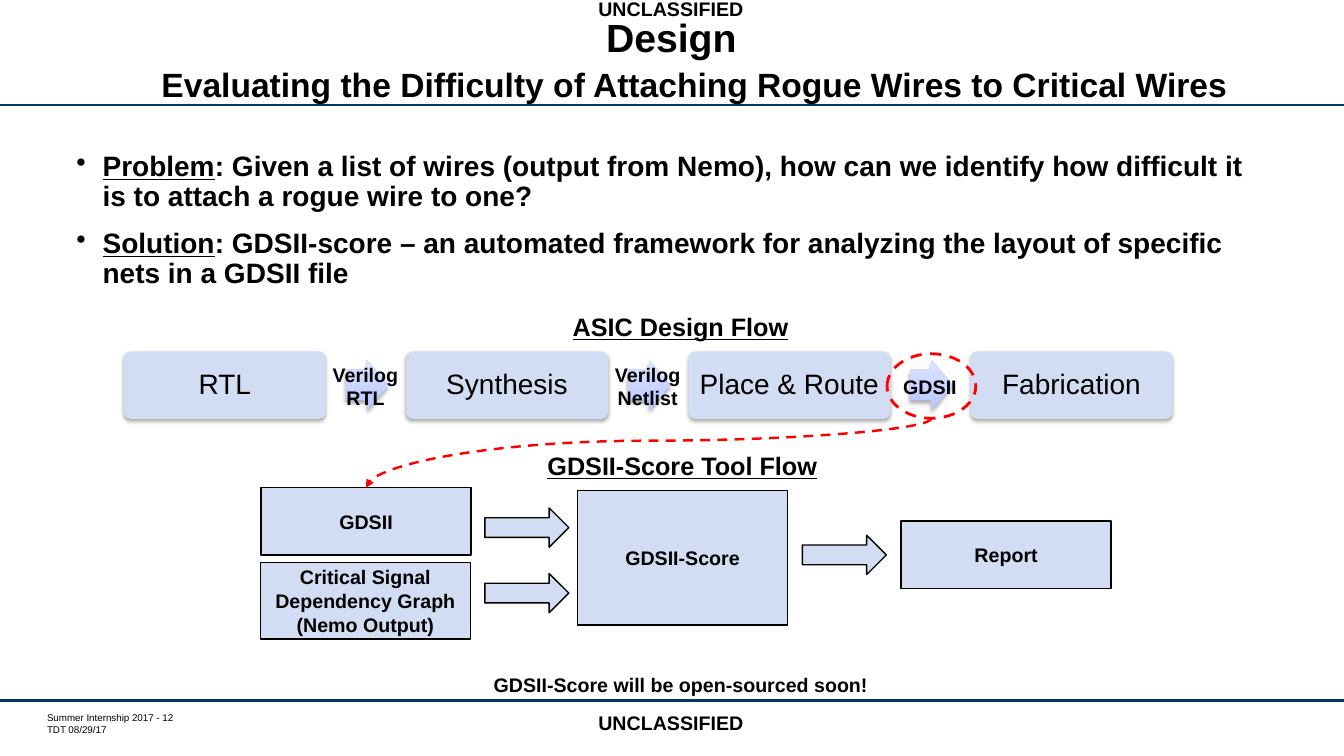
from collections import namedtuple
from dataclasses import dataclass

from lxml import etree
from pptx import Presentation, util as u
from pptx.dml.color import RGBColor
from pptx.enum import dml, shapes, text
from pptx.oxml import ns, parse_xml

Box = namedtuple("Box", "left top width height")
SHAPE = shapes.MSO_SHAPE
CENTER = text.PP_ALIGN.CENTER


@dataclass(frozen=True)
class Theme:
    font: str = "Arial"
    ink: str = "000000"
    rule: str = "003767"
    panel: str = "D2DCF2"
    arrow_dark: str = "B6C5FF"
    arrow_light: str = "DEE4FF"
    accent: str = "FF0000"
    title: int = 28
    subtitle: int = 24
    body: int = 20
    heading: int = 18
    label: int = 14
    footer: int = 7


THEME = Theme()


def rgb(value):
    return RGBColor.from_string(value)


def points(box):
    return [u.Pt(value) for value in box]


def inside(box, left, top, width, height):
    return Box(box.left + left, box.top + top, width, height)


def apply(target, values):
    for name, value in values.items():
        setattr(target, name, value)


def write(frame, lines, size, bold=True, underline=False, **paragraph):
    """Fill a frame; a line is a string or a list of (text, underline) runs."""
    for index, line in enumerate(lines):
        para = frame.paragraphs[0] if index == 0 else frame.add_paragraph()
        apply(para, paragraph)
        if index == 0:
            para.space_before = u.Pt(0)
        for words, underlined in [(line, underline)] if isinstance(line, str) else line:
            span = para.add_run()
            span.text = words
            apply(span.font, dict(name=THEME.font, size=u.Pt(size), bold=bold,
                                  underline=underlined))
            span.font.color.rgb = rgb(THEME.ink)


def add_text(page, box, lines, size, wrap=True, margin=None, **style):
    frame = page.shapes.add_textbox(*points(box)).text_frame
    frame.word_wrap = wrap
    if margin is not None:
        sides = ("left", "top", "right", "bottom")
        apply(frame, {f"margin_{side}": u.Pt(margin) for side in sides})
    write(frame, lines, size, **style)
    return frame


def add_label(page, box, lines, size=THEME.label, **style):
    add_text(page, box, lines, size, wrap=False, alignment=CENTER, **style)


def add_panel(page, kind, box, outline=None):
    panel = page.shapes.add_shape(kind, *points(box))
    panel.shadow.inherit = False
    panel.fill.solid()
    panel.fill.fore_color.rgb = rgb(THEME.panel)
    if outline:
        panel.line.color.rgb = rgb(outline)
        panel.line.width = u.Pt(1)
    else:
        panel.line.fill.background()
    apply(panel.text_frame, dict(word_wrap=True, vertical_anchor=text.MSO_ANCHOR.MIDDLE))
    return panel


def add_soft_shadow(shape):
    effects = shape._element.spPr.find(ns.qn("a:effectLst"))
    effects.append(parse_xml(
        f'<a:outerShdw {ns.nsdecls("a")} blurRad="{u.Pt(3.1)}" dist="{u.Pt(1.8)}" '
        'dir="5400000" rotWithShape="0"><a:srgbClr val="000000">'
        '<a:alpha val="35000"/></a:srgbClr></a:outerShdw>'))


def add_line(page, kind, start, end, color):
    line = page.shapes.add_connector(kind, *points(start + end))
    etree.SubElement(line._element.spPr, ns.qn("a:effectLst"))
    line.line.color.rgb = rgb(color)
    line.line.width = u.Pt(1.75)
    return line


def add_frame(page, box):
    """Rules, classification marks and footer around the whole page."""
    for y in (75, 500.5):
        add_line(page, shapes.MSO_CONNECTOR.STRAIGHT, (box.left, y), (box.width, y), THEME.rule)
    for y in (-5.8, 504):
        add_label(page, inside(box, 419.8, y, 118.8, 24.5), ["UNCLASSIFIED"])
    add_text(page, inside(box, 33.6, 508.3, 114.5, 17.3),
             ["Summer Internship 2017 - 12", "TDT 08/29/17"], THEME.footer,
             margin=0, bold=False)


def add_titles(page, box):
    add_text(page, inside(box, 0, 0, 761.8, 36.7), ["Design"], THEME.title,
             alignment=CENTER, line_spacing=u.Pt(28))
    add_text(page, inside(box, 0, 35.3, box.width, 23.8),
             ["Evaluating the Difficulty of Attaching Rogue Wires to Critical Wires"],
             THEME.subtitle, alignment=CENTER, line_spacing=u.Pt(24))


def add_bullets(page, box):
    frame = add_text(page, box, [
        [("Problem", True), (": Given a list of wires (output from Nemo), how can we "
                             "identify how difficult it is to attach a rogue wire to one?", False)],
        [("Solution", True), (": GDSII-score – an automated framework for analyzing the "
                              "layout of specific nets in a GDSII file", False)],
    ], THEME.body, line_spacing=0.9, space_before=u.Pt(12))
    for para in frame.paragraphs:
        props = para._p.get_or_add_pPr()
        props.set("marL", str(u.Pt(18.7)))
        props.set("indent", str(-u.Pt(18.7)))
        etree.SubElement(props, ns.qn("a:buChar"), char="•")


def add_design_flow(page, box):
    add_label(page, inside(box, 312.5, 0, 170, 28.8), ["ASIC Design Flow"],
              THEME.heading, underline=True)
    pitch, top, width, height = 201.6, 32.2, 144, 48.2
    stages = [("RTL", ["Verilog", "RTL"]), ("Synthesis", ["Verilog", "Netlist"]),
              ("Place & Route", ["GDSII"]), ("Fabrication", [])]
    for index, (stage, handoff) in enumerate(stages):
        left = index * pitch
        panel = add_panel(page, SHAPE.ROUNDED_RECTANGLE, inside(box, left, top, width, height))
        panel.adjustments[0] = 0.1
        add_soft_shadow(panel)
        apply(panel.text_frame, dict(margin_left=u.Pt(5.8), margin_right=u.Pt(5.8)))
        write(panel.text_frame, [stage], THEME.body, bold=False, alignment=CENTER,
              line_spacing=0.9)
        if not handoff:
            continue
        arrow = add_panel(page, SHAPE.RIGHT_ARROW, inside(box, left + 158.4, top + 6, 30.2, 36))
        arrow.adjustments[0] = 0.6
        add_soft_shadow(arrow)
        arrow.fill.gradient()
        arrow.fill.gradient_angle = 90
        for stop, color in zip(arrow.fill.gradient_stops, (THEME.arrow_dark, THEME.arrow_light)):
            stop.color.rgb = rgb(color)
        tall = 7.4 + 16.8 * len(handoff)
        add_label(page, inside(box, left + 140.5, top + 25 - tall / 2, 64, tall), handoff)


def add_tool_flow(page, box):
    add_label(page, inside(box, 197, 0, 208.8, 28.8), ["GDSII-Score Tool Flow"],
              THEME.heading, underline=True)
    blocks = [(0.5, 30.2, 48.2, ["GDSII"]),
              (0, 83.5, 54.7, ["Critical Signal Dependency Graph", "(Nemo Output)"]),
              (226.6, 32.4, 95.8, ["GDSII-Score"]),
              (457.7, 54, 48.2, ["Report"])]
    for left, top, height, lines in blocks:
        panel = add_panel(page, SHAPE.RECTANGLE, inside(box, left, top, 150, height), THEME.ink)
        write(panel.text_frame, lines, THEME.label, alignment=CENTER)
    for left, top in ((160.3, 44.6), (160.3, 91.4), (387.1, 64.1)):
        add_panel(page, SHAPE.RIGHT_ARROW, inside(box, left, top, 60, 28.1), THEME.ink)


def add_callout(page, box):
    """Ring at the top right of the box, with a curve down to its lower left."""
    ring = inside(box, box.width - 63.4, 0, 63.4, 46.1)
    start_x, start_y = ring.left + ring.width / 2, ring.top + ring.height
    run, drop = start_x - box.left, box.top + box.height - start_y
    middle_x, middle_y = box.left + run / 2, start_y + drop / 2
    curve = add_line(page, shapes.MSO_CONNECTOR.CURVE,
                     (middle_x - drop / 2, middle_y - run / 2),
                     (middle_x + drop / 2, middle_y + run / 2), THEME.accent)
    props = curve._element.spPr
    props.find(ns.qn("a:xfrm")).set("rot", "5400000")
    guides = props.find(ns.qn("a:prstGeom")).find(ns.qn("a:avLst"))
    etree.SubElement(guides, ns.qn("a:gd"), name="adj1", fmla="val 32200")
    curve.line.dash_style = dml.MSO_LINE.DASH
    etree.SubElement(props.find(ns.qn("a:ln")), ns.qn("a:tailEnd"), type="triangle")

    circle = add_panel(page, SHAPE.OVAL, ring, THEME.accent)
    circle.fill.background()
    apply(circle.line, dict(width=u.Pt(2), dash_style=dml.MSO_LINE.DASH))


def main():
    deck = Presentation()
    apply(deck, dict(slide_width=u.Pt(960), slide_height=u.Pt(540)))
    page = deck.slides.add_slide(deck.slide_layouts[6])
    add_frame(page, Box(0, 0, 960, 540))
    add_titles(page, Box(98.6, 11.5, 794.9, 59))
    add_bullets(page, Box(47.5, 105.1, 859.7, 380))
    add_tool_flow(page, Box(186, 318.2, 608, 139))
    add_design_flow(page, Box(88.6, 218.9, 748.8, 80.4))
    add_callout(page, Box(261.4, 252.7, 435.6, 95.8))
    add_label(page, Box(344.9, 477.4, 283, 24.5), ["GDSII-Score will be open-sourced soon!"])
    deck.save("out.pptx")


if __name__ == "__main__":
    main()
